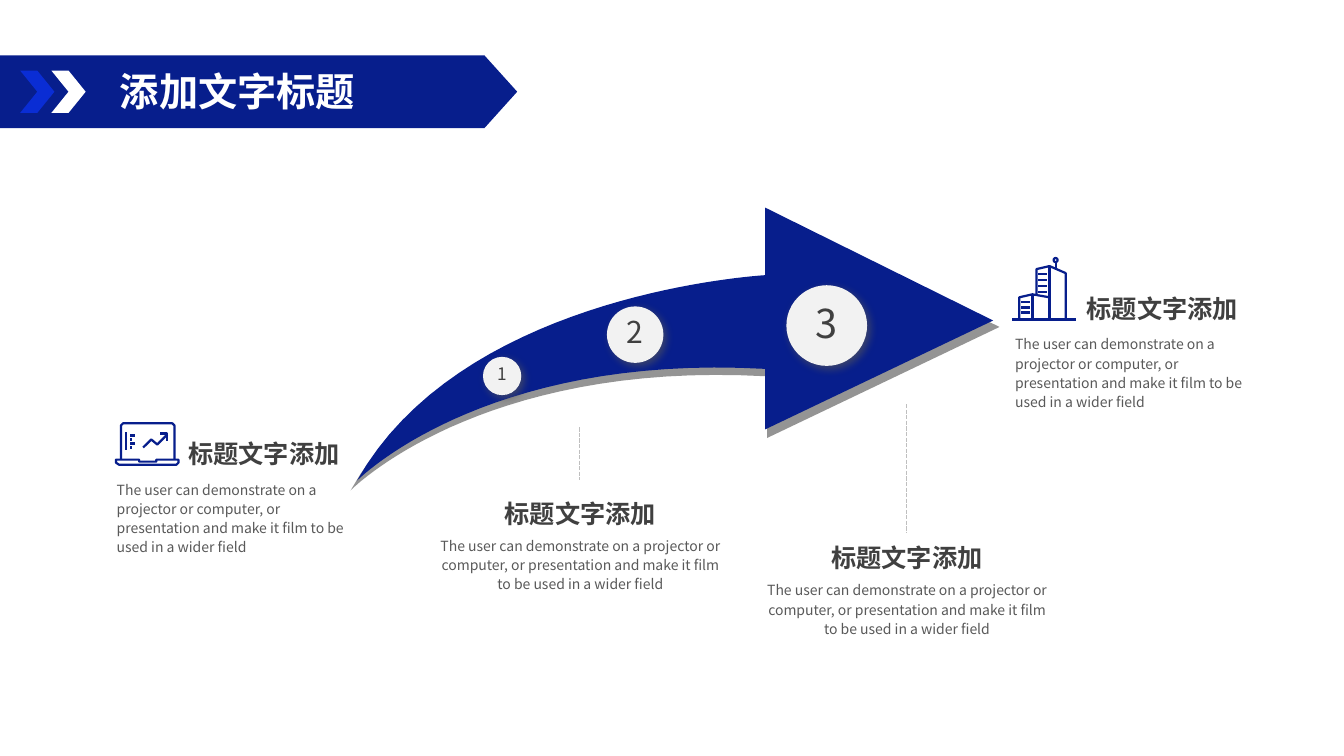
from dataclasses import dataclass
from math import cos, pi, sin

from lxml.etree import SubElement
from pptx import Presentation
from pptx.dml.color import RGBColor
from pptx.enum.dml import MSO_LINE
from pptx.enum.shapes import MSO_CONNECTOR, MSO_SHAPE
from pptx.enum.text import MSO_ANCHOR, MSO_AUTO_SIZE, PP_ALIGN
from pptx.oxml.ns import qn
from pptx.util import Inches, Pt


@dataclass(frozen=True)
class Theme:
    font: str = "Noto Sans CJK SC"
    navy: str = "071E8C"
    bright: str = "0A2DD4"
    white: str = "FFFFFF"
    disc: str = "F2F2F2"
    dark: str = "404040"
    body: str = "595959"
    dash: str = "BFBFBF"
    arrow_shadow: str = "808080"
    title_size: float = 28
    heading_size: float = 18
    body_size: float = 10
    icon_line: float = 1.6


HEADING = "标题文字添加"
BODY = ("The user can demonstrate on a projector or computer, or presentation "
        "and make it film to be used in a wider field")


def rgb(color):
    return RGBColor.from_string(color)


def curve(start, first, second, end, steps=32):
    """Points along a cubic Bezier curve, without its start."""
    points = []
    for step in range(1, steps + 1):
        t = step / steps
        weights = ((1 - t) ** 3, 3 * t * (1 - t) ** 2, 3 * t * t * (1 - t), t ** 3)
        points.append(tuple(sum(weight * point[axis] for weight, point
                                in zip(weights, (start, first, second, end)))
                            for axis in (0, 1)))
    return points


def laptop_strokes():
    screen = [(1.2, 4.56), (1.2, 4.22), (1.22, 4.2), (1.71, 4.2), (1.73, 4.22), (1.73, 4.56)]
    base = [(1.15, 4.56), (1.38, 4.56), (1.38, 4.58), (1.55, 4.58), (1.55, 4.56),
            (1.77, 4.56), (1.77, 4.59), (1.75, 4.61), (1.18, 4.61), (1.15, 4.59), (1.15, 4.56)]
    axis = [(1.25, 4.29), (1.25, 4.46)]
    bars = [[(1.29, 4.32 + 0.04 * row), (1.34 - 0.03 * (row % 2), 4.32 + 0.04 * row)]
            for row in range(4)]
    trend = [(1.42, 4.44), (1.5, 4.36), (1.56, 4.41), (1.66, 4.31)]
    trend_head = [(1.59, 4.3), (1.66, 4.3), (1.66, 4.38)]
    return [screen, base, axis, *bars, trend, trend_head]


def building_strokes():
    ground = [(10.04, 3.17), (10.67, 3.17)]
    low_block = [(10.11, 3.17), (10.11, 2.95), (10.24, 2.92), (10.41, 2.95)]
    low_edge = [(10.24, 2.92), (10.24, 3.17)]
    tower = [(10.28, 2.92), (10.28, 2.67), (10.41, 2.64), (10.57, 2.71), (10.57, 3.17)]
    tower_edge = [(10.41, 2.64), (10.41, 3.17)]
    mast = [(10.47, 2.67), (10.47, 2.6)]
    ball = [(10.47 + 0.02 * sin(pi * turn / 6), 2.58 + 0.02 * cos(pi * turn / 6))
            for turn in range(13)]
    low_windows = [[(10.13, 3 + 0.05 * row), (10.22, 3 + 0.05 * row)] for row in range(3)]
    tower_windows = [[(10.3, 2.72 + 0.06 * row), (10.38, 2.72 + 0.06 * row)]
                     for row in range(4)]
    return [ground, low_block, low_edge, tower, tower_edge, mast, ball,
            *low_windows, *tower_windows]


class SlideBuilder:
    def __init__(self, page, theme):
        self.page = page
        self.theme = theme

    def fill_text(self, box, text, size, color, bold=False, align=PP_ALIGN.LEFT, spacing=1.0):
        para = box.text_frame.paragraphs[0]
        para.alignment = align
        para.line_spacing = spacing
        span = para.add_run()
        span.text = text
        span.font.name = self.theme.font
        span.font.size = Pt(size)
        span.font.bold = bold
        span.font.color.rgb = rgb(color)
        SubElement(span.font._element, qn("a:ea"), typeface=self.theme.font)

    def title(self, text, left, top, width, height):
        """Fill the title placeholder and lift it above the banner."""
        box = self.page.shapes.title
        box.left, box.top, box.width, box.height = map(Inches, (left, top, width, height))
        box.text_frame.vertical_anchor = MSO_ANCHOR.TOP
        box.text_frame.auto_size = MSO_AUTO_SIZE.SHAPE_TO_FIT_TEXT
        self.fill_text(box, text, self.theme.title_size, self.theme.white, bold=True)
        box.element.getparent().append(box.element)

    def text(self, shapes, place, text, size, color, **style):
        box = shapes.add_textbox(*map(Inches, place))
        box.text_frame.word_wrap = True
        box.text_frame.auto_size = MSO_AUTO_SIZE.SHAPE_TO_FIT_TEXT
        self.fill_text(box, text, size, color, **style)

    def paint(self, shape, color):
        shape.fill.solid()
        shape.fill.fore_color.rgb = rgb(color)
        shape.line.fill.background()
        shape.shadow.inherit = False

    def shape(self, kind, place, color, adjustment):
        shape = self.page.shapes.add_shape(kind, *map(Inches, place))
        shape.adjustments[0] = adjustment
        self.paint(shape, color)
        return shape

    def shadow(self, shape, color, opacity, blur, distance, angle, **extra):
        effects = shape.element.spPr.find(qn("a:effectLst"))
        outer = SubElement(effects, qn("a:outerShdw"), blurRad=str(Pt(blur)),
                           dist=str(Pt(distance)), dir=str(angle * 60000), **extra)
        tint = SubElement(outer, qn("a:srgbClr"), val=color)
        SubElement(tint, qn("a:alpha"), val=str(opacity * 1000))

    def freeform(self, shapes, strokes, close=False):
        builder = shapes.build_freeform(*map(Inches, strokes[0][0]))
        for index, stroke in enumerate(strokes):
            points = [(Inches(x), Inches(y)) for x, y in stroke]
            if index:
                builder.move_to(*points[0])
            builder.add_line_segments(points[1:], close=close)
        return builder.convert_to_shape()

    def icon(self, shapes, strokes):
        icon = self.freeform(shapes, strokes)
        icon.fill.background()
        icon.line.color.rgb = rgb(self.theme.navy)
        icon.line.width = Pt(self.theme.icon_line)
        icon.shadow.inherit = False

    def dashed_line(self, x, top, bottom):
        line = self.page.shapes.add_connector(
            MSO_CONNECTOR.STRAIGHT, *map(Inches, (x, top, x, bottom)))
        line.line.color.rgb = rgb(self.theme.dash)
        line.line.width = Pt(1)
        line.line.dash_style = MSO_LINE.SQUARE_DOT
        SubElement(line.element.spPr, qn("a:effectLst"))

    def growth_arrow(self):
        neck, tail, inner = (7.59, 2.73), (3.54, 4.77), (7.59, 3.66)
        outline = [(9.85, 3.18), (7.59, 2.06), neck,
                   *curve(neck, (7.3, 2.75), (4.54, 2.98), tail),
                   *curve(tail, tail, (4.78, 3.5), inner), (7.59, 4.26)]
        arrow = self.freeform(self.page.shapes, [outline], close=True)
        self.paint(arrow, self.theme.navy)
        self.shadow(arrow, self.theme.arrow_shadow, 84, 0, 3, 90,
                    sx="102000", sy="102000", algn="t", rotWithShape="0")

    def numbered_disc(self, number, left, top, size, font_size, spacing):
        disc = self.shape(MSO_SHAPE.ROUNDED_RECTANGLE, (left, top, size, size),
                          self.theme.disc, 0.5)
        self.shadow(disc, self.theme.body, 64, 6, 3, 45, algn="tl", rotWithShape="0")
        disc.text_frame.word_wrap = False
        disc.text_frame.vertical_anchor = MSO_ANCHOR.MIDDLE
        self.fill_text(disc, number, font_size, self.theme.dark,
                       align=PP_ALIGN.CENTER, spacing=spacing)

    def caption(self, heading_place, body_place, align, strokes=None):
        """Group a heading, its text and, if given, an icon."""
        shapes = self.page.shapes.add_group_shape().shapes
        if strokes:
            self.icon(shapes, strokes)
        self.text(shapes, heading_place, HEADING, self.theme.heading_size,
                  self.theme.dark, bold=True, align=align)
        self.text(shapes, body_place, BODY, self.theme.body_size,
                  self.theme.body, align=align, spacing=1.14)


def main():
    deck = Presentation()
    deck.slide_width, deck.slide_height = Inches(13.33), Inches(7.5)
    theme = Theme()
    slide = SlideBuilder(deck.slides.add_slide(deck.slide_layouts[5]), theme)

    slide.shape(MSO_SHAPE.PENTAGON, (0, 0.55, 5.13, 0.72), theme.navy, 0.45)
    for left, color in ((0.2, theme.bright), (0.51, theme.white)):
        slide.shape(MSO_SHAPE.CHEVRON, (left, 0.7, 0.34, 0.42), color, 0.5)
    slide.title("添加文字标题", 1.09, 0.62, 4.59, 0.57)

    slide.dashed_line(5.75, 4.24, 4.76)
    slide.dashed_line(8.99, 4.01, 5.28)
    slide.growth_arrow()
    slide.numbered_disc("1", 4.79, 3.54, 0.38, 12.3, 0.8)
    slide.numbered_disc("2", 6.02, 3.04, 0.56, 21.5, 0.8)
    slide.numbered_disc("3", 7.8, 2.83, 0.8, 28.4, 0.9)

    for left, top, strokes in ((1.06, 4.3, laptop_strokes()), (9.97, 2.86, building_strokes())):
        slide.caption((left + 0.71, top, 2.33, 0.4), (left, top + 0.4, 2.57, 0.87),
                      PP_ALIGN.LEFT, strokes)
    for left, top in ((4.2, 4.89), (7.44, 5.33)):
        slide.caption((left + 0.39, top, 2.33, 0.4), (left, top + 0.37, 3.11, 0.68),
                      PP_ALIGN.CENTER)

    deck.save("out.pptx")


if __name__ == "__main__":
    main()
